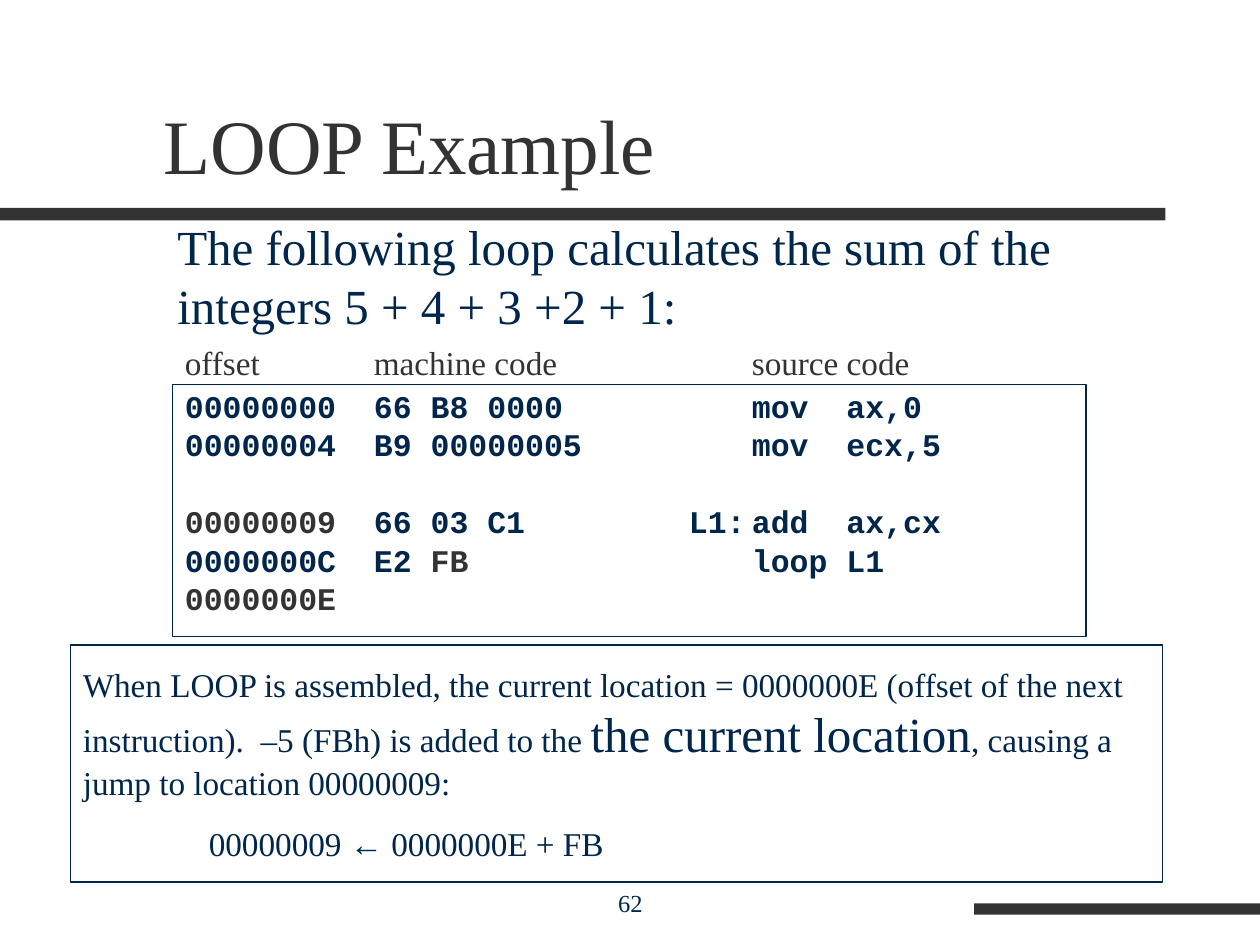
from dataclasses import dataclass

from lxml import etree
from pptx import Presentation
from pptx.dml.color import RGBColor
from pptx.enum.shapes import MSO_SHAPE
from pptx.enum.text import MSO_ANCHOR, MSO_AUTO_SIZE, PP_ALIGN
from pptx.oxml.ns import qn
from pptx.util import Pt

RECT = MSO_SHAPE.RECTANGLE
TOP, BOTTOM = MSO_ANCHOR.TOP, MSO_ANCHOR.BOTTOM
FIXED, GROW = MSO_AUTO_SIZE.NONE, MSO_AUTO_SIZE.SHAPE_TO_FIT_TEXT
LEFT, CENTER = PP_ALIGN.LEFT, PP_ALIGN.CENTER


@dataclass(frozen=True)
class Theme:
    """Colours, fonts and type sizes of the slide."""
    gray: RGBColor = RGBColor(0x33, 0x33, 0x33)
    navy: RGBColor = RGBColor(0x00, 0x26, 0x4C)
    serif: str = "Times New Roman"
    mono: str = "Courier New"
    sans: str = "Arial"
    title: int = 44
    lead: int = 28
    body: int = 19
    code: int = 18
    page: int = 14


THEME = Theme()


def write(shape, lines, size, color=THEME.navy, font=THEME.serif, bold=False,
          align=LEFT, anchor=TOP, fit=FIXED, pad=10.8, before=0, pitch=None,
          tabs=(), gaps=None):
    """Fill a shape with lines, each a string or a list of (text, changes)."""
    frame = shape.text_frame
    frame.word_wrap = True
    frame.auto_size = fit
    frame.vertical_anchor = anchor
    frame.margin_left = frame.margin_right = Pt(7.2)
    frame.margin_top = frame.margin_bottom = Pt(pad)
    for row, line in enumerate(lines):
        para = frame.add_paragraph() if row else frame.paragraphs[0]
        para.alignment = align
        para.space_before = Pt((gaps or {}).get(row, before))
        if pitch:
            para.line_spacing = pitch
        if tabs:
            stops = etree.SubElement(para._p.get_or_add_pPr(), qn("a:tabLst"))
            for stop in tabs:
                etree.SubElement(stops, qn("a:tab"), pos=str(Pt(stop)), algn="l")
        for text, change in [(line, {})] if isinstance(line, str) else line:
            run = para.add_run()
            run.text = text
            run.font.size = Pt(change.get("size", size))
            run.font.name = change.get("font", font)
            run.font.bold = bold
            run.font.color.rgb = change.get("color", color)


class Deck:
    """Holds the theme and the current slide."""

    def __init__(self, theme):
        """Start a deck with one title-only slide."""
        self.theme = theme
        self.file = Presentation()
        self.file.slide_width, self.file.slide_height = Pt(720), Pt(540)
        self.slide = self.file.slides.add_slide(self.file.slide_layouts[5])

    def title(self, text, *place):
        """Move and fill the title placeholder."""
        shape = self.slide.shapes.title
        shape.left, shape.top, shape.width, shape.height = map(Pt, place)
        write(shape, [text], self.theme.title, self.theme.gray,
              anchor=BOTTOM, pad=3.6)

    def rect(self, *place):
        """Add a plain rectangle."""
        shape = self.slide.shapes.add_shape(RECT, *map(Pt, place))
        shape.shadow.inherit = False
        return shape

    def bar(self, *place):
        """Add a solid bar."""
        shape = self.rect(*place)
        shape.fill.solid()
        shape.fill.fore_color.rgb = self.theme.gray
        shape.line.fill.background()

    def panel(self, lines, *place, **style):
        """Add an outlined box of text."""
        shape = self.rect(*place)
        shape.fill.background()
        shape.line.color.rgb = self.theme.navy
        shape.line.width = Pt(0.75)
        write(shape, lines, **style)

    def label(self, text, *place, **style):
        """Add a text box."""
        shape = self.slide.shapes.add_textbox(*map(Pt, place))
        write(shape, [text], **style)


def main():
    """Build and save the slide."""
    deck = Deck(THEME)
    gray = {"color": THEME.gray}
    deck.bar(0, 118.8, 666, 7.2)
    deck.bar(556.6, 516.2, 163.4, 6.5)
    deck.label("62", 246.2, 491.8, 228.2, 36, size=THEME.page,
               align=CENTER, anchor=BOTTOM, pad=3.6)
    deck.title("LOOP Example", 86.4, 22.3, 612, 90)

    code = [
        "00000000  66 B8 0000\t\tmov  ax,0",
        "00000004  B9 00000005\t\tmov  ecx,5",
        [("00000009", gray), ("  66 03 C1\tL1:\tadd  ax,cx", {})],
        [("0000000C  E2 ", {}), ("FB\t\t", gray), ("loop L1", {})],
        [("0000000E", gray)],
    ]
    deck.panel(code, 98.6, 219.6, 522, 144, size=THEME.code, font=THEME.mono,
               bold=True, before=11.2, pitch=0.5, gaps={2: 33.2},
               tabs=(36, 288, 324, 360))
    deck.label("The following loop calculates the sum of the integers "
               "5 + 4 + 3 +2 + 1:", 94.3, 113, 516.2, 88.6,
               size=THEME.lead, fit=GROW, before=17.5)

    note = [
        [("When LOOP is assembled, the current location = 0000000E (offset of "
          "the next instruction).  –5 (FBh) is added to the ", {}),
         ("the current location", {"size": THEME.lead}),
         (", causing a jump to location 00000009:", {})],
        [("\t00000009 ", {}), ("←", {"font": THEME.sans}),
         (" 0000000E + FB", {})],
    ]
    deck.panel(note, 40.3, 368.6, 624.2, 135.4, size=THEME.body, fit=GROW,
               before=11.9, tabs=(72, 144))
    deck.label("offset\tmachine code\tsource code", 98.6, 185, 509.8, 44.6,
               size=THEME.body, color=THEME.gray, fit=GROW, before=11.9,
               tabs=(108, 324))
    deck.file.save("out.pptx")


if __name__ == "__main__":
    main()
